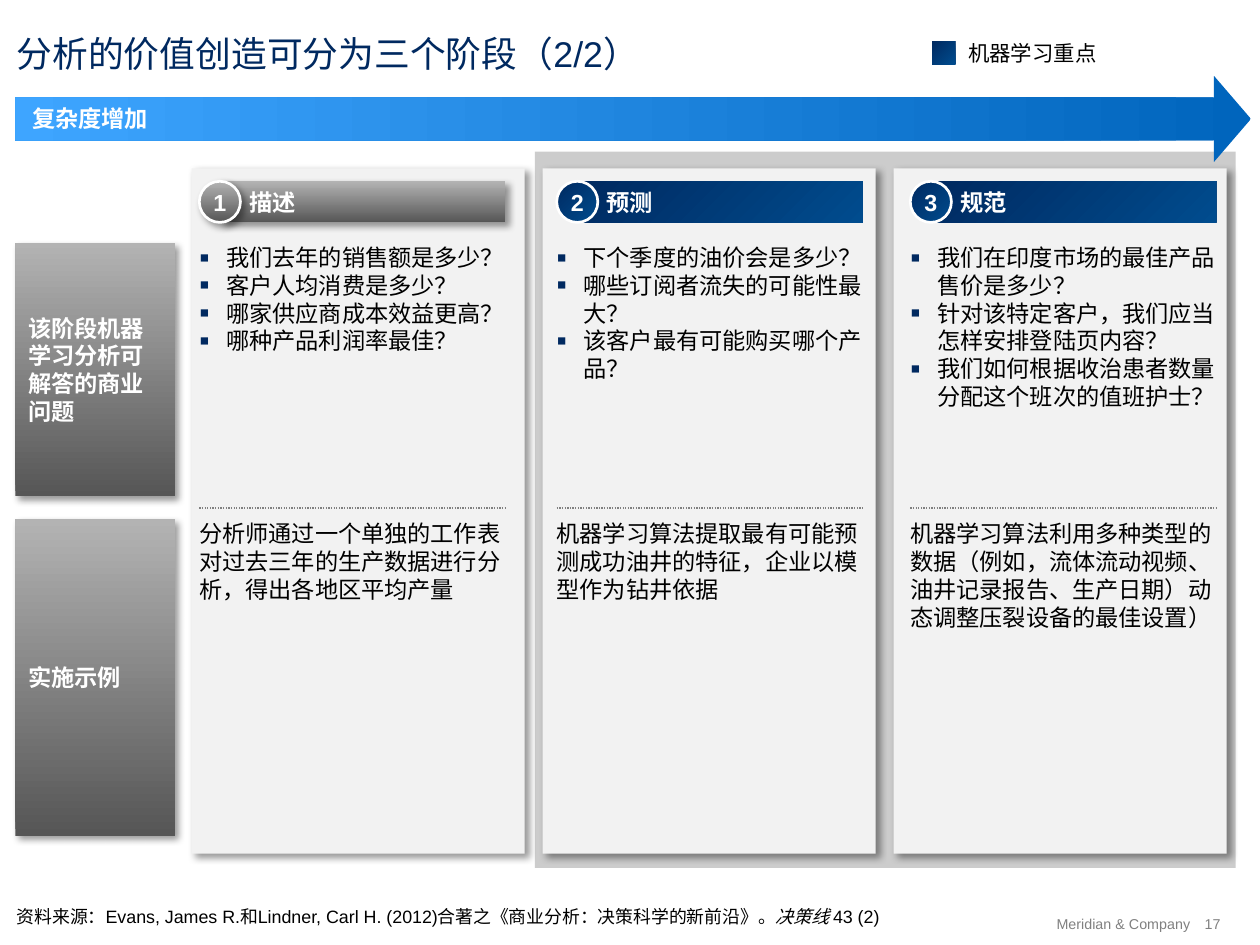
from dataclasses import dataclass

from lxml.etree import SubElement
from pptx import Presentation
from pptx.dml.color import RGBColor
from pptx.enum.dml import MSO_LINE
from pptx.enum.lang import MSO_LANGUAGE_ID
from pptx.enum.shapes import MSO_CONNECTOR, MSO_SHAPE
from pptx.enum.text import MSO_ANCHOR, PP_ALIGN
from pptx.oxml.ns import qn
from pptx.util import Inches, Pt


@dataclass(frozen=True)
class Theme:
    """Colours, gradients and type sizes of the slide."""
    font: str = "Arial"
    navy: str = "002960"
    black: str = "000000"
    white: str = "FFFFFF"
    muted: str = "808080"
    focus_area: str = "CCCCCC"
    card: str = "F2F2F2"
    grey_fade: tuple = ("565656", "B3B3B3", 90)
    navy_fade: tuple = ("002960", "004C8E", 315)
    arrow_fade: tuple = ("0065BD", "3EA5FF", 180)
    title: int = 20
    body: int = 13
    legend: int = 12
    source: int = 10
    footer: int = 8


THEME = Theme()


def write(paragraph, text, *, size=THEME.body, color=THEME.black, bold=False, italic=False):
    """Add a formatted run to a paragraph."""
    run = paragraph.add_run()
    run.text = text
    font = run.font
    font.name, font.size = THEME.font, Pt(size)
    font.bold, font.italic = bold, italic
    font.color.rgb = RGBColor.from_string(color)
    font.language_id = MSO_LANGUAGE_ID.SIMPLIFIED_CHINESE


class SlideBuilder:
    """Draw styled elements on the current slide."""

    def __init__(self, slide, theme):
        self.shapes = slide.shapes
        self.theme = theme

    def frame(self, shape, anchor=MSO_ANCHOR.MIDDLE, inset=0.0):
        """Prepare a text frame and return its first paragraph."""
        frame = shape.text_frame
        frame.word_wrap = True
        frame.vertical_anchor = anchor
        frame.margin_left = frame.margin_right = Inches(inset)
        frame.margin_top = frame.margin_bottom = Inches(inset / 2)
        paragraph = frame.paragraphs[0]
        paragraph.alignment = PP_ALIGN.LEFT
        return paragraph

    def text(self, box, text, anchor=MSO_ANCHOR.TOP, align=PP_ALIGN.LEFT, **style):
        """Add a text box and return its first paragraph."""
        paragraph = self.frame(self.shapes.add_textbox(*map(Inches, box)), anchor)
        paragraph.alignment = align
        write(paragraph, text, **style)
        return paragraph

    def shape(self, kind, box, fill, shadow=False, outline=None):
        """Add a preset shape with a solid or gradient fill."""
        shape = self.shapes.add_shape(kind, *map(Inches, box))
        shape.shadow.inherit = False
        if isinstance(fill, tuple):
            shape.fill.gradient()
            shape.fill.gradient_angle = fill[2]
            for stop, color in zip(shape.fill.gradient_stops, fill):
                stop.color.rgb = RGBColor.from_string(color)
        else:
            shape.fill.solid()
            shape.fill.fore_color.rgb = RGBColor.from_string(fill)
        if outline:
            shape.line.color.rgb = RGBColor.from_string(outline)
            shape.line.width = Pt(1.5)
        else:
            shape.line.fill.background()
        if shadow:
            self.cast_shadow(shape)
        return shape

    def cast_shadow(self, shape):
        """Give a shape a soft shadow to the lower right."""
        effects = shape.element.spPr.find(qn("a:effectLst"))
        outer = SubElement(effects, qn("a:outerShdw"), blurRad=str(Pt(4)), dist=str(Pt(3)),
                           dir="2700000", algn="tl", rotWithShape="0")
        color = SubElement(outer, qn("a:srgbClr"), val=self.theme.black)
        SubElement(color, qn("a:alpha"), val="40000")

    def divider(self, left, top, width):
        """Add a dotted horizontal line."""
        line = self.shapes.add_connector(
            MSO_CONNECTOR.STRAIGHT, *map(Inches, (left, top, left + width, top)))
        line.line.color.rgb = RGBColor.from_string(self.theme.muted)
        line.line.width = Pt(0.75)
        line.line.dash_style = MSO_LINE.ROUND_DOT
        SubElement(line.element.spPr, qn("a:effectLst"))

    def bullets(self, box, items):
        """Add a list with square bullets."""
        area = self.shapes.add_textbox(*map(Inches, box))
        paragraph = self.frame(area, MSO_ANCHOR.TOP)
        for index, item in enumerate(items):
            if index:
                paragraph = area.text_frame.add_paragraph()
            properties = paragraph._p.get_or_add_pPr()
            properties.set("marL", str(Inches(0.21)))
            properties.set("indent", str(-Inches(0.21)))
            color = SubElement(properties, qn("a:buClr"))
            SubElement(color, qn("a:srgbClr"), val=self.theme.navy)
            SubElement(properties, qn("a:buSzPct"), val="125000")
            SubElement(properties, qn("a:buFont"), typeface=self.theme.font)
            SubElement(properties, qn("a:buChar"), char="▪")
            write(paragraph, item)

    def row_label(self, top, height, text):
        """Add a grey label to the left of a row."""
        label = self.shape(MSO_SHAPE.RECTANGLE, (0.12, top, 1.24, height),
                           self.theme.grey_fade, shadow=True)
        write(self.frame(label, inset=0.1), text, color=self.theme.white, bold=True)

    def stage(self, number, left, name, questions, example, focus):
        """Add one stage with its card, heading, questions and example."""
        theme, width = self.theme, 2.38
        fade = theme.navy_fade if focus else theme.grey_fade
        self.shape(MSO_SHAPE.RECTANGLE, (1.49 + 2.73 * (number - 1), 1.31, 2.59, 5.33),
                   theme.card, shadow=True)
        self.shape(MSO_SHAPE.RECTANGLE, (left + 0.17, 1.41, 2.21, 0.32), fade, shadow=not focus)
        self.text((left + 0.39, 1.46, 1.5, 0.22), name, MSO_ANCHOR.MIDDLE,
                  color=theme.white, bold=True)
        badge = self.shape(MSO_SHAPE.OVAL, (left, 1.41, 0.32, 0.32), fade,
                           shadow=not focus, outline=theme.white)
        digit = self.frame(badge)
        digit.alignment = PP_ALIGN.CENTER
        write(digit, str(number), color=theme.white, bold=True)
        self.bullets((left, 1.89, width, 1.31), questions)
        self.divider(left, 3.95, width)
        self.text((left, 4.04, width, 0.88), example)


STAGES = [
    (1.55, "描述",
     ["我们去年的销售额是多少？", "客户人均消费是多少？",
      "哪家供应商成本效益更高？", "哪种产品利润率最佳？"],
     "分析师通过一个单独的工作表对过去三年的生产数据进行分析，得出各地区平均产量", False),
    (4.33, "预测",
     ["下个季度的油价会是多少？", "哪些订阅者流失的可能性最大？",
      "该客户最有可能购买哪个产品？"],
     "机器学习算法提取最有可能预测成功油井的特征，企业以模型作为钻井依据", True),
    (7.08, "规范",
     ["我们在印度市场的最佳产品售价是多少？", "针对该特定客户，我们应当怎样安排登陆页内容？",
      "我们如何根据收治患者数量分配这个班次的值班护士？"],
     "机器学习算法利用多种类型的数据（例如，流体流动视频、油井记录报告、生产日期）动态调整压裂设备的最佳设置）",
     True),
]


def main():
    """Build and save the slide."""
    deck = Presentation()
    deck.slide_width, deck.slide_height = Inches(9.8), Inches(7.35)
    page = SlideBuilder(deck.slides.add_slide(deck.slide_layouts[6]), THEME)

    page.text((0.13, 0.25, 7, 0.34), "分析的价值创造可分为三个阶段（2/2）",
              size=THEME.title, color=THEME.navy)
    page.shape(MSO_SHAPE.RECTANGLE, (7.25, 0.32, 0.18, 0.18), THEME.navy_fade)
    page.text((7.53, 0.31, 1.3, 0.2), "机器学习重点", size=THEME.legend)

    page.shape(MSO_SHAPE.RECTANGLE, (4.16, 1.18, 5.45, 5.57), THEME.focus_area)
    page.row_label(1.89, 1.97, "该阶段机器学习分析可解答的商业问题")
    page.row_label(4.04, 2.46, "实施示例")
    for number, stage in enumerate(STAGES, 1):
        page.stage(number, *stage)

    complexity = page.shape(MSO_SHAPE.RIGHT_ARROW, (0.12, 0.59, 9.61, 0.67), THEME.arrow_fade)
    complexity.adjustments[1] = 0.43
    page.text((0.25, 0.81, 9, 0.22), "复杂度增加", color=THEME.white, bold=True)

    source = page.text(
        (0.13, 7.04, 7.51, 0.17),
        "资料来源：Evans, James R.和Lindner, Carl H. (2012)合著之《商业分析：决策科学的新前沿》。",
        MSO_ANCHOR.MIDDLE, size=THEME.source)
    write(source, "决策线", size=THEME.source, italic=True)
    write(source, " 43 (2)", size=THEME.source)
    footer = {"size": THEME.footer, "color": THEME.muted}
    page.text((8.0, 7.12, 1.26, 0.13), "Meridian & Company", MSO_ANCHOR.MIDDLE,
              PP_ALIGN.RIGHT, **footer)
    page.text((9.37, 7.12, 0.2, 0.13), "17", MSO_ANCHOR.MIDDLE, **footer)

    deck.save("out.pptx")


if __name__ == "__main__":
    main()
